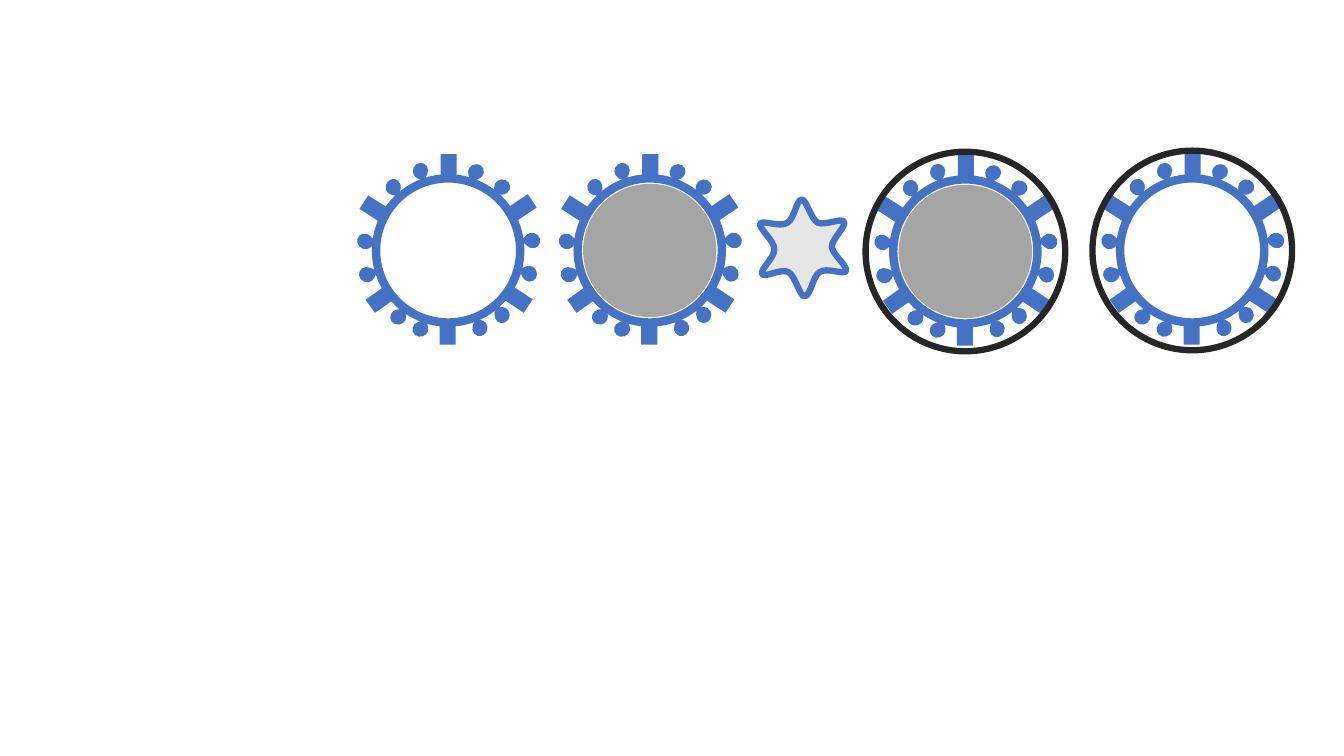
from dataclasses import dataclass
from typing import Optional

import pptx
import pptx.dml.color
import pptx.enum.shapes
import pptx.oxml
import pptx.oxml.ns
import pptx.util

Inches = pptx.util.Inches
KIND = pptx.enum.shapes.MSO_SHAPE
COLORS = {
    "gear": "4472C4",
    "core": "A5A5A5",
    "shell": "262626",
    "star": "E7E6E6",
}


@dataclass(frozen=True)
class Tooth:
    """Offset from the ring's top left corner, and rotation in degrees."""
    kind: KIND
    left: float
    top: float
    angle: float = 0


@dataclass(frozen=True)
class Gear:
    left: float
    top: float
    has_core: bool = False
    has_shell: bool = False


RING_SIZE, CORE_SIZE, SHELL_SIZE = 1.43, 1.26, 1.98
TOOTH_SIZES = {KIND.RECTANGLE: (0.16, 0.24), KIND.TEAR: (0.16, 0.15)}

TEETH = [
    Tooth(KIND.RECTANGLE, 1.33, 1.08, 303.4),
    Tooth(KIND.TEAR, -0.19, 0.55, 45.8),
    Tooth(KIND.RECTANGLE, -0.04, 1.08, 54.7),
    Tooth(KIND.TEAR, -0.17, 0.88, 24.1),
    Tooth(KIND.RECTANGLE, 1.37, 0.17, 56),
    Tooth(KIND.TEAR, 0.14, 1.3, 352.1),
    Tooth(KIND.RECTANGLE, -0.1, 0.18, 302.8),
    Tooth(KIND.TEAR, 0.36, 1.42, 342.2),
    Tooth(KIND.RECTANGLE, 0.63, 1.41),
    Tooth(KIND.TEAR, 0.95, 1.41, 287.5),
    Tooth(KIND.RECTANGLE, 0.64, -0.24),
    Tooth(KIND.TEAR, 1.17, 1.28, 273.9),
    Tooth(KIND.TEAR, 1.44, 0.87, 243.3),
    Tooth(KIND.TEAR, 1.47, 0.54, 222.4),
    Tooth(KIND.TEAR, 0.09, 0.01, 102.3),
    Tooth(KIND.TEAR, 0.36, -0.15, 115.5),
    Tooth(KIND.TEAR, 0.91, -0.14, 155.8),
    Tooth(KIND.TEAR, 1.17, 0.01, 174.8),
]

GEARS = [
    Gear(5.73, 1.77, has_core=True),
    Gear(11.11, 1.77, has_shell=True),
    Gear(3.73, 1.77),
    Gear(8.86, 1.78, has_core=True, has_shell=True),
]

# Each row is one curve: two control points and the end point
STAR_START = (7.81, 2.21)
STAR_CURVES = [
    [(7.88, 2.17), (7.9, 1.98), (7.95, 1.98)],
    [(8, 1.98), (8.04, 2.17), (8.11, 2.21)],
    [(8.18, 2.24), (8.35, 2.16), (8.37, 2.2)],
    [(8.4, 2.24), (8.25, 2.37), (8.25, 2.45)],
    [(8.26, 2.53), (8.41, 2.64), (8.39, 2.69)],
    [(8.37, 2.73), (8.2, 2.65), (8.13, 2.7)],
    [(8.06, 2.74), (8.04, 2.94), (7.98, 2.94)],
    [(7.93, 2.94), (7.89, 2.74), (7.82, 2.7)],
    [(7.75, 2.66), (7.58, 2.76), (7.56, 2.72)],
    [(7.53, 2.68), (7.69, 2.55), (7.68, 2.47)],
    [(7.68, 2.39), (7.52, 2.26), (7.54, 2.22)],
    [(7.56, 2.18), (7.74, 2.26), STAR_START],
]


def paint(shape, fill: Optional[str] = None, line: Optional[str] = None,
          width: float = 0) -> None:
    shape.shadow.inherit = False
    if fill:
        shape.fill.solid()
        shape.fill.fore_color.rgb = pptx.dml.color.RGBColor.from_string(COLORS[fill])
    else:
        shape.fill.background()
    if line:
        shape.line.color.rgb = pptx.dml.color.RGBColor.from_string(COLORS[line])
        shape.line.width = pptx.util.Pt(width)
    else:
        shape.line.fill.background()


def add_circle(group, gear: Gear, size: float, line: str, width: float,
               fill: Optional[str] = None) -> None:
    """Draw a circle that shares its centre with the gear's ring."""
    inset = (RING_SIZE - size) / 2
    circle = group.shapes.add_shape(
        KIND.FLOWCHART_CONNECTOR, Inches(gear.left + inset),
        Inches(gear.top + inset), Inches(size), Inches(size))
    paint(circle, fill, line, width)


def add_gear(page, gear: Gear) -> None:
    group = page.shapes.add_group_shape()
    add_circle(group, gear, RING_SIZE, "gear", 6)
    for tooth in TEETH:
        width, height = TOOTH_SIZES[tooth.kind]
        shape = group.shapes.add_shape(
            tooth.kind, Inches(gear.left + tooth.left),
            Inches(gear.top + tooth.top), Inches(width), Inches(height))
        shape.rotation = tooth.angle
        paint(shape, "gear")
    if gear.has_shell:
        add_circle(group, gear, SHELL_SIZE, "shell", 4.5)
    if gear.has_core:
        add_circle(group, gear, CORE_SIZE, "core", 4.5, "core")


def add_star(page) -> None:
    points = [(Inches(x), Inches(y)) for curve in STAR_CURVES for x, y in curve]
    builder = page.shapes.build_freeform(*(Inches(value) for value in STAR_START))
    builder.add_line_segments(points, close=True)
    star = builder.convert_to_shape()
    # Turn every three straight segments into one cubic curve
    qn = pptx.oxml.ns.qn
    segments = list(star.element.iter(qn("a:lnTo")))
    for first in range(0, len(segments), 3):
        curve = pptx.oxml.parse_xml(
            f"<a:cubicBezTo {pptx.oxml.ns.nsdecls('a')}/>")
        segments[first].addprevious(curve)
        for segment in segments[first:first + 3]:
            curve.append(segment.find(qn("a:pt")))
            segment.getparent().remove(segment)
    paint(star, "star", "gear", 4.5)


def main() -> None:
    deck = pptx.Presentation()
    deck.slide_width, deck.slide_height = Inches(13.33), Inches(7.5)
    page = deck.slides.add_slide(deck.slide_layouts[6])
    for gear in GEARS:
        add_gear(page, gear)
    add_star(page)
    deck.save("out.pptx")


if __name__ == "__main__":
    main()
